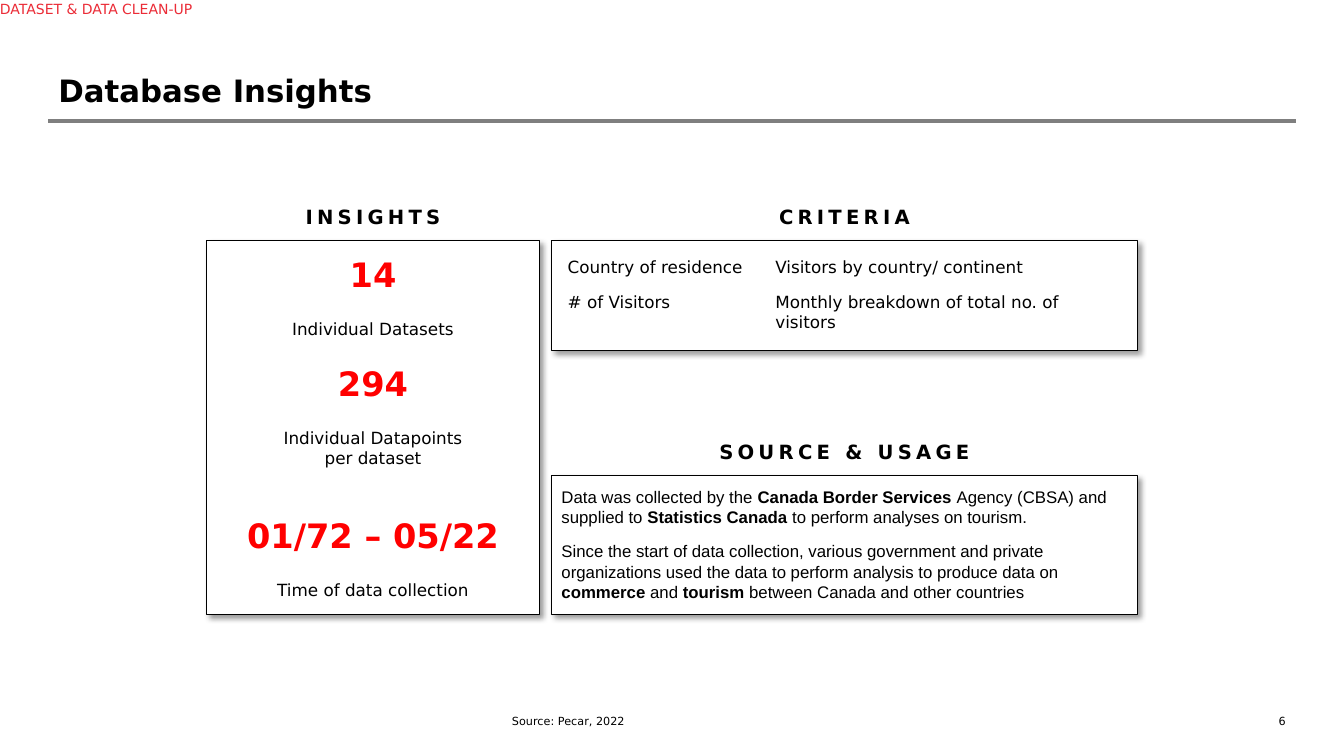
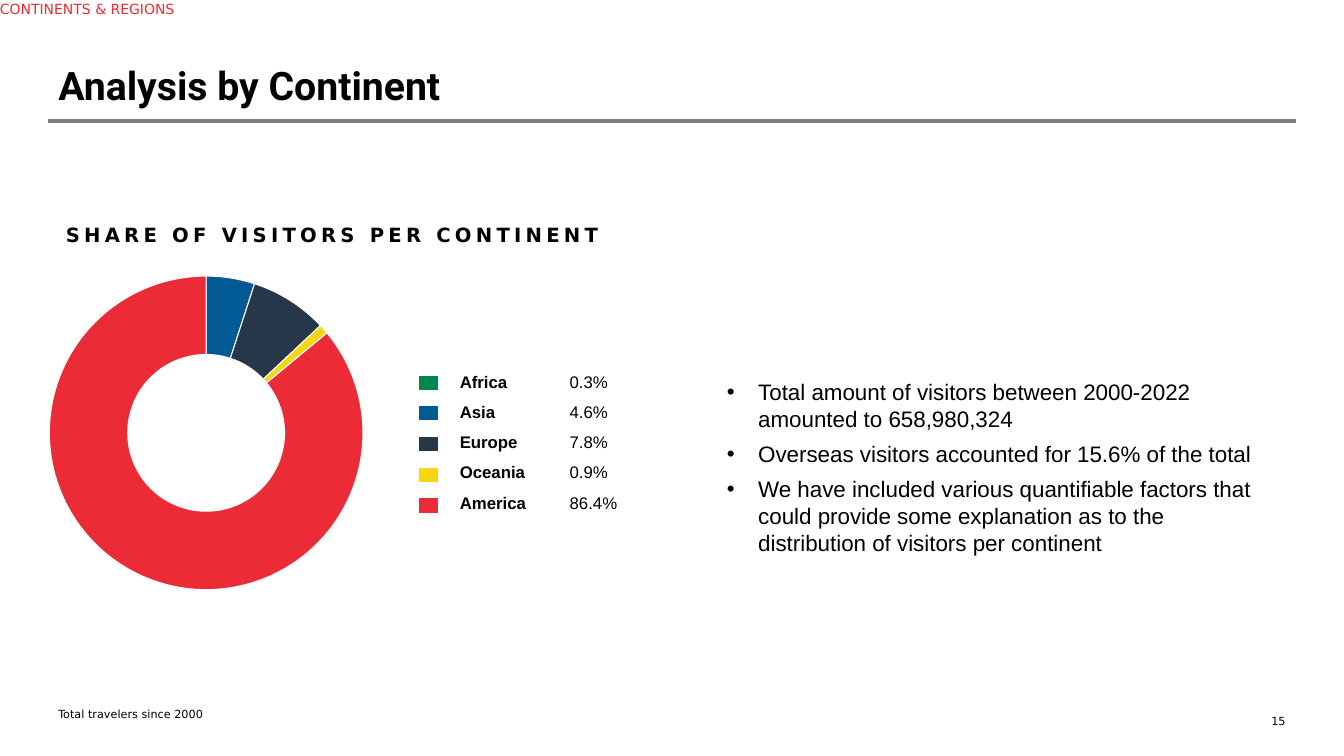
import dataclasses

import lxml.etree
import pptx
import pptx.chart.data
import pptx.dml.color
import pptx.enum.chart
import pptx.enum.shapes
import pptx.enum.text
import pptx.oxml.ns
import pptx.util

Inches, Pt = pptx.util.Inches, pptx.util.Pt
qn = pptx.oxml.ns.qn
ALIGN = pptx.enum.text.PP_ALIGN
ANCHOR = pptx.enum.text.MSO_ANCHOR
RECT = pptx.enum.shapes.MSO_SHAPE.RECTANGLE


@dataclasses.dataclass(frozen=True)
class Theme:
    black: str = "000000"
    white: str = "FFFFFF"
    rule: str = "7F7F7F"
    accent: str = "EB2C37"
    figure: str = "FF0000"
    sans: str = "DejaVu Sans"
    body: str = "Arial"
    headline: str = "Roboto"
    note_size: int = 8
    tag_size: int = 10
    text_size: int = 12
    heading_size: int = 14
    bullet_size: int = 16
    figure_size: int = 24


T = Theme()


def rgb(value):
    return pptx.dml.color.RGBColor.from_string(value)


def sub(parent, tag, **attrs):
    return lxml.etree.SubElement(parent, qn(tag), attrs)


class Deck:
    def __init__(self):
        self.prs = pptx.Presentation()
        self.prs.slide_width, self.prs.slide_height = Inches(13.33), Inches(7.5)
        self.s = None

    def slide(self, layout, tag, title, number, font, size):
        """Start a slide with the tag, title, rule and page number all slides share."""
        self.s = self.prs.slides.add_slide(self.prs.slide_layouts[layout])
        self.text(0, 0, 4.34, 0.15, tag, T.tag_size, color=T.accent)
        sp = self.s.shapes.title
        self.place(sp, 0.48, 0.32, 12.36, 0.81)
        self.frame(sp, (0.1, 0.05), ANCHOR.BOTTOM)
        p = sp.text_frame.paragraphs[0]
        self.fill_paragraph(p, title, size, font, bold=True)
        line = self.s.shapes.add_connector(
            pptx.enum.shapes.MSO_CONNECTOR.STRAIGHT,
            Inches(0.48), Inches(1.2), Inches(12.85), Inches(1.2))
        line.line.color.rgb = rgb(T.rule)
        line.line.width = Pt(3.5)
        sub(line._element.spPr, "a:effectLst")
        self.note(9.85, 7.03, 3, number, ALIGN.RIGHT)

    def place(self, sp, x, y, w, h):
        sp.left, sp.top, sp.width, sp.height = map(Inches, (x, y, w, h))

    def frame(self, sp, inset, anchor):
        tf = sp.text_frame
        tf.word_wrap = True
        tf.auto_size = pptx.enum.text.MSO_AUTO_SIZE.NONE
        tf.vertical_anchor = anchor
        tf.margin_left = tf.margin_right = Inches(inset[0])
        tf.margin_top = tf.margin_bottom = Inches(inset[1])
        return tf

    def fill_paragraph(self, p, content, size, font=T.sans, color=T.black,
                       bold=False, align=ALIGN.LEFT):
        """Content is a string, or a list of strings in which every second one is bold."""
        p.alignment = align
        if isinstance(content, str):
            p.text = content
            p.font.bold = bold
        else:
            for i, part in enumerate(content):
                r = p.add_run()
                r.text = part
                r.font.bold = i % 2 == 1
        p.font.name, p.font.size = font, Pt(size)
        p.font.color.rgb = rgb(color)

    def text(self, x, y, w, h, content, size, inset=(0, 0), anchor=ANCHOR.TOP, **style):
        sp = self.s.shapes.add_textbox(*map(Inches, (x, y, w, h)))
        p = self.frame(sp, inset, anchor).paragraphs[0]
        self.fill_paragraph(p, content, size, **style)
        return p

    def note(self, x, y, w, content, align=ALIGN.LEFT):
        self.text(x, y, w, 0.25, content, T.note_size, (0.1, 0.05), ANCHOR.MIDDLE,
                  align=align)

    def heading(self, x, y, w, content):
        p = self.text(x, y, w, 0.34, content, T.heading_size, (0.1, 0.05),
                      ANCHOR.MIDDLE, bold=True, align=ALIGN.CENTER)
        p.font._element.set("spc", "300")

    def box(self, x, y, w, h, fill, line):
        sp = self.s.shapes.add_shape(RECT, *map(Inches, (x, y, w, h)))
        sp.shadow.inherit = False
        sp.fill.solid()
        sp.fill.fore_color.rgb = rgb(fill)
        sp.line.color.rgb = rgb(line)
        sp.line.width = Pt(0.75)
        return sp

    def card(self, x, y, w, h, title):
        """White panel with a soft shadow and a heading above it."""
        sp = self.box(x, y, w, h, T.white, T.black)
        effects = sp._element.spPr.find(qn("a:effectLst"))
        shadow = sub(effects, "a:outerShdw", blurRad=str(Pt(4)), dist=str(Pt(3)),
                     dir="2700000", algn="tl", rotWithShape="0")
        sub(sub(shadow, "a:srgbClr", val=T.black), "a:alpha", val="40000")
        self.heading(x, y - 0.41, w, title)

    def paragraphs(self, x, y, w, h, contents):
        sp = self.s.shapes.add_textbox(*map(Inches, (x, y, w, h)))
        tf = self.frame(sp, (0.1, 0.1), ANCHOR.TOP)
        for i, content in enumerate(contents):
            p = tf.add_paragraph() if i else tf.paragraphs[0]
            self.fill_paragraph(p, content, T.text_size, T.body)
            p.space_before, p.space_after = Pt(4 if i else 0), Pt(6)

    def bullets(self, x, y, w, h, items):
        sp = self.s.placeholders[1]
        self.place(sp, x, y, w, h)
        tf = self.frame(sp, (0, 0), ANCHOR.TOP)
        for i, item in enumerate(items):
            p = tf.add_paragraph() if i else tf.paragraphs[0]
            pPr = p._p.get_or_add_pPr()
            pPr.set("marL", str(Inches(0.31)))
            pPr.set("indent", str(-Inches(0.31)))
            sub(pPr, "a:buFont", typeface=T.body)
            sub(pPr, "a:buChar", char="•")
            self.fill_paragraph(p, item, T.bullet_size, T.body)
            p.space_before, p.space_after = Pt(0), Pt(6)

    def table(self, x, y, widths, row_height, rows, font, bold_first=False):
        shape = self.s.shapes.add_table(
            len(rows), len(widths), Inches(x), Inches(y),
            Inches(sum(widths)), Inches(row_height * len(rows)))
        table = shape.table
        table.first_row = table.horz_banding = False
        for column, width in zip(table.columns, widths):
            column.width = Inches(width)
        for i, row in enumerate(rows):
            for j, content in enumerate(row):
                cell = table.cell(i, j)
                cell.fill.background()
                self.fill_paragraph(cell.text_frame.paragraphs[0], content, T.text_size,
                                    font, bold=bold_first and j == 0)

    def doughnut(self, x, y, size, shares):
        data = pptx.chart.data.CategoryChartData()
        data.categories = [name for name, _, _ in shares]
        data.add_series("Share of visitors", [round(value) for _, value, _ in shares])
        chart = self.s.shapes.add_chart(
            pptx.enum.chart.XL_CHART_TYPE.DOUGHNUT,
            *map(Inches, (x, y, size, size)), data).chart
        chart.has_legend = chart.has_title = False
        chart.font.name, chart.font.size = T.body, Pt(10)
        chart.font.color.rgb = rgb(T.black)
        plot = chart.plots[0]
        plot.vary_by_categories = True
        for i, (_, _, color) in enumerate(shares):
            fmt = plot.series[0].points[i].format
            fmt.fill.solid()
            fmt.fill.fore_color.rgb = rgb(color)
            fmt.line.color.rgb = rgb(T.white)
            fmt.line.width = Pt(0.75)
        area = chart._chartSpace.find(".//" + qn("c:plotArea"))
        area.find(".//" + qn("c:holeSize")).set("val", "70")
        for old in area.findall(qn("c:layout")):
            area.remove(old)
        layout = lxml.etree.Element(qn("c:layout"))
        area.insert(0, layout)
        manual = sub(layout, "c:manualLayout")
        for tag, value in (("layoutTarget", "inner"), ("xMode", "edge"), ("yMode", "edge"),
                           ("x", "0.03"), ("y", "0.03"), ("w", "0.94"), ("h", "0.94")):
            sub(manual, "c:" + tag, val=value)


def insights_slide(deck):
    deck.slide(5, "DATASET & DATA CLEAN-UP", "Database Insights", "6", T.sans, 22)
    left, width = 2.05, 3.3
    deck.card(left, 2.39, width, 3.71, "INSIGHTS")
    for top, figure, label in (
            (2.52, "14", "Individual Datasets"),
            (3.6, "294", "Individual Datapoints\vper dataset"),
            (5.11, "01/72 – 05/22", "Time of data collection")):
        deck.text(left, top, width, 0.4, figure, T.figure_size, color=T.figure,
                  bold=True, align=ALIGN.CENTER)
        deck.text(left, top + 0.64, width, 0.4, label, T.text_size, align=ALIGN.CENTER)

    left, width = 5.47, 5.81
    deck.card(left, 2.39, width, 1.09, "CRITERIA")
    deck.table(5.53, 2.51, (2.06, 3.63), 0.35, (
        ("Country of residence", "Visitors by country/ continent"),
        ("# of Visitors", "Monthly breakdown of total no. of visitors")), T.sans)
    deck.card(left, 4.72, width, 1.38, "SOURCE & USAGE")
    deck.paragraphs(left, 4.73, width, 1.35, (
        ["Data was collected by the ", "Canada Border Services ",
         "Agency (CBSA) and supplied to ", "Statistics Canada",
         " to perform analyses on tourism."],
        ["Since the start of data collection, various government and private "
         "organizations used the data to perform analysis to produce data on ",
         "commerce", " and ", "tourism", " between Canada and other countries"]))
    deck.note(4.98, 7.03, 4.5, "Source: Pecar, 2022")


def continents_slide(deck):
    deck.slide(1, "CONTINENTS & REGIONS", "Analysis by Continent", "15", T.headline, 28)
    shares = (("Africa", 0.3, "008650"), ("Asia", 4.6, "015A94"),
              ("Europe", 7.8, "263749"), ("Oceania", 0.9, "F9D612"),
              ("America", 86.4, T.accent))
    deck.heading(0.48, 2.16, 5.63, "SHARE OF VISITORS PER CONTINENT")
    deck.doughnut(0.39, 2.64, 3.31, shares)
    deck.table(4.46, 3.65, (1.09, 0.89), 0.3,
               [(name, f"{value}%") for name, value, _ in shares], T.body, bold_first=True)
    first, last = 3.72, 4.94
    pitch = (last - first) / (len(shares) - 1)
    for i, (_, _, color) in enumerate(shares):
        deck.box(4.15, first + pitch * i, 0.2, 0.15, color, T.white)
    deck.bullets(7.21, 3.75, 5.38, 1.78, (
        "Total amount of visitors between 2000-2022 amounted to 658,980,324",
        "Overseas visitors accounted for 15.6% of the total",
        "We have included various quantifiable factors that could provide some "
        "explanation as to the distribution of visitors per continent"))
    deck.note(0.48, 6.96, 4.5, "Total travelers since 2000")


def main():
    deck = Deck()
    insights_slide(deck)
    continents_slide(deck)
    deck.prs.save("out.pptx")


if __name__ == "__main__":
    main()
